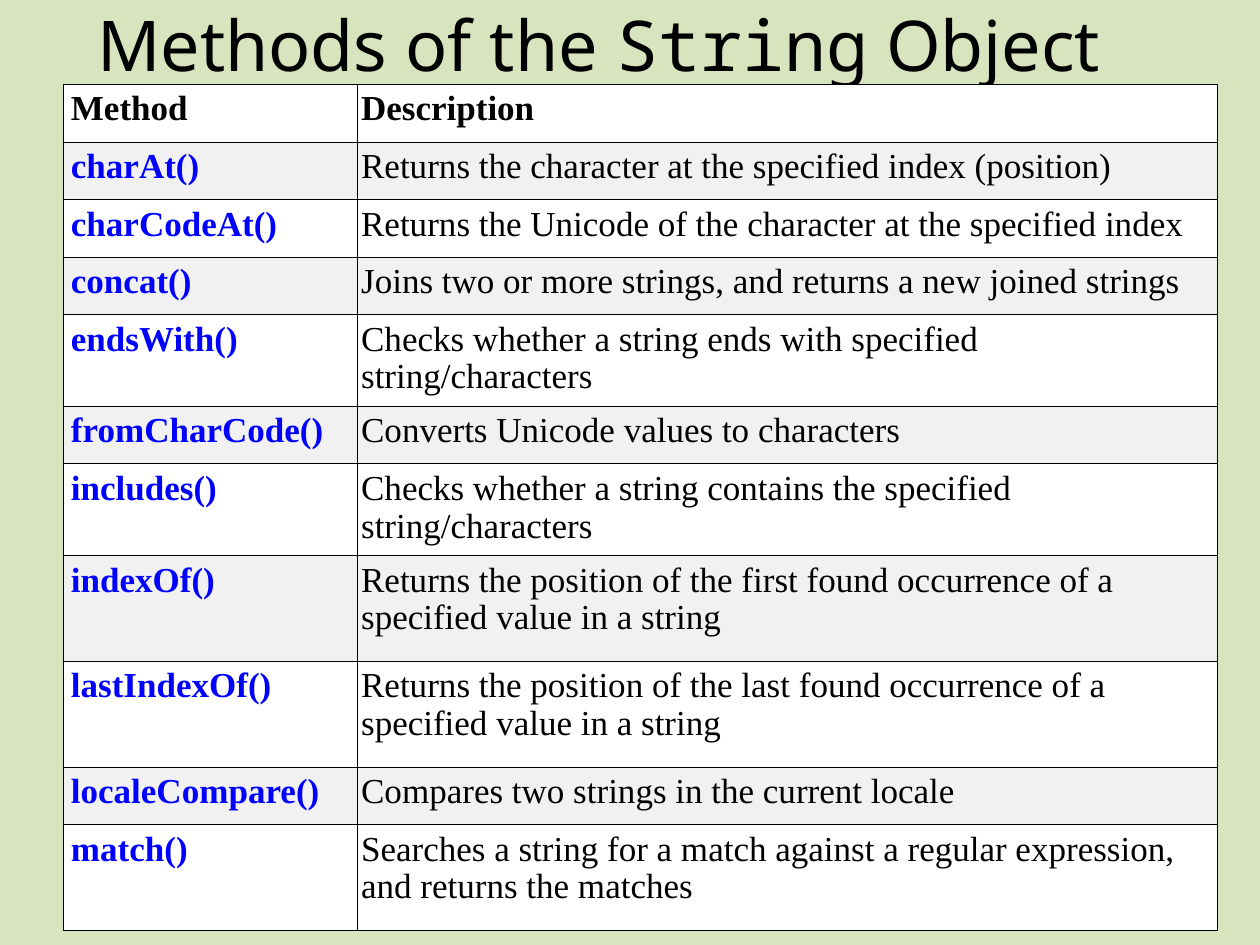
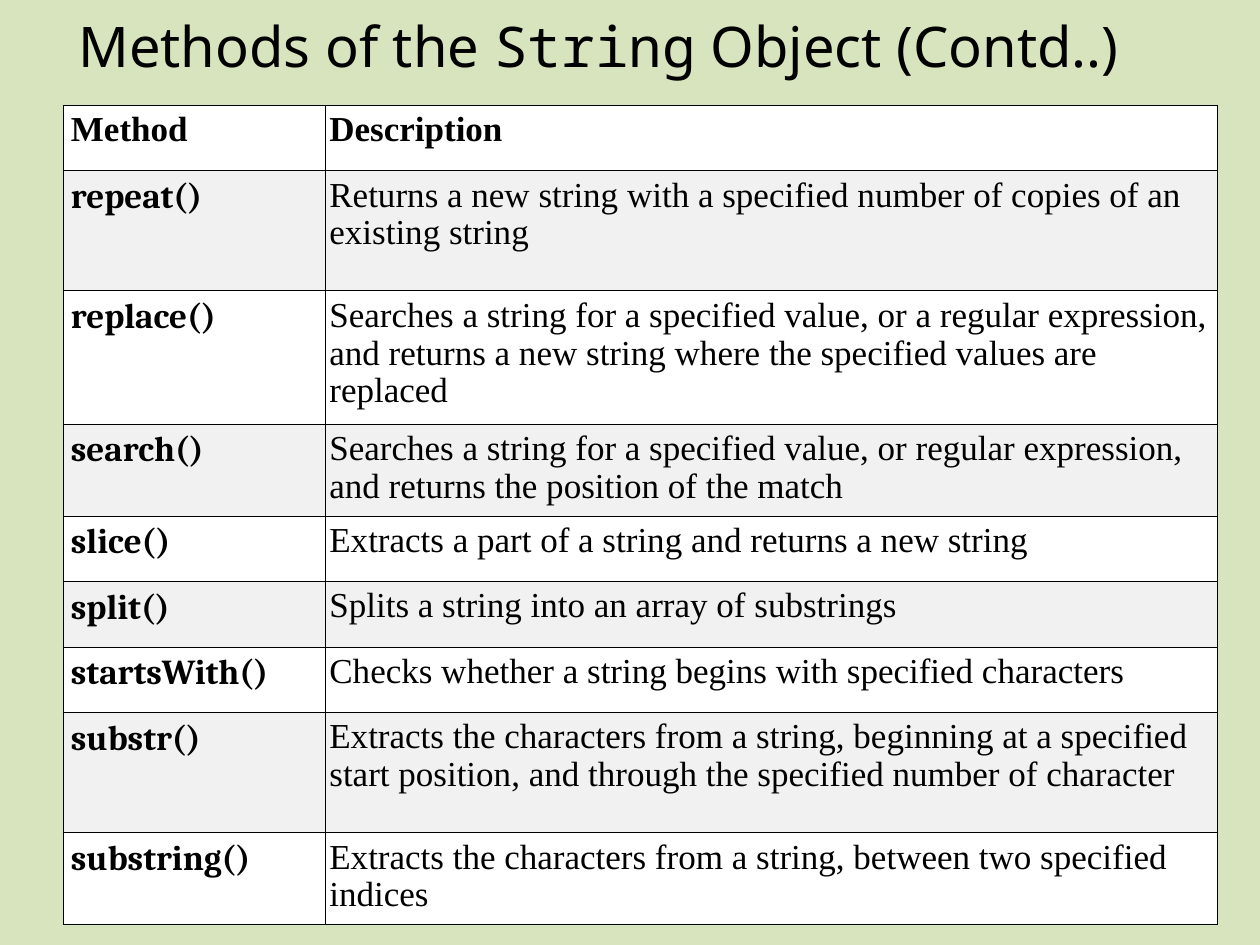
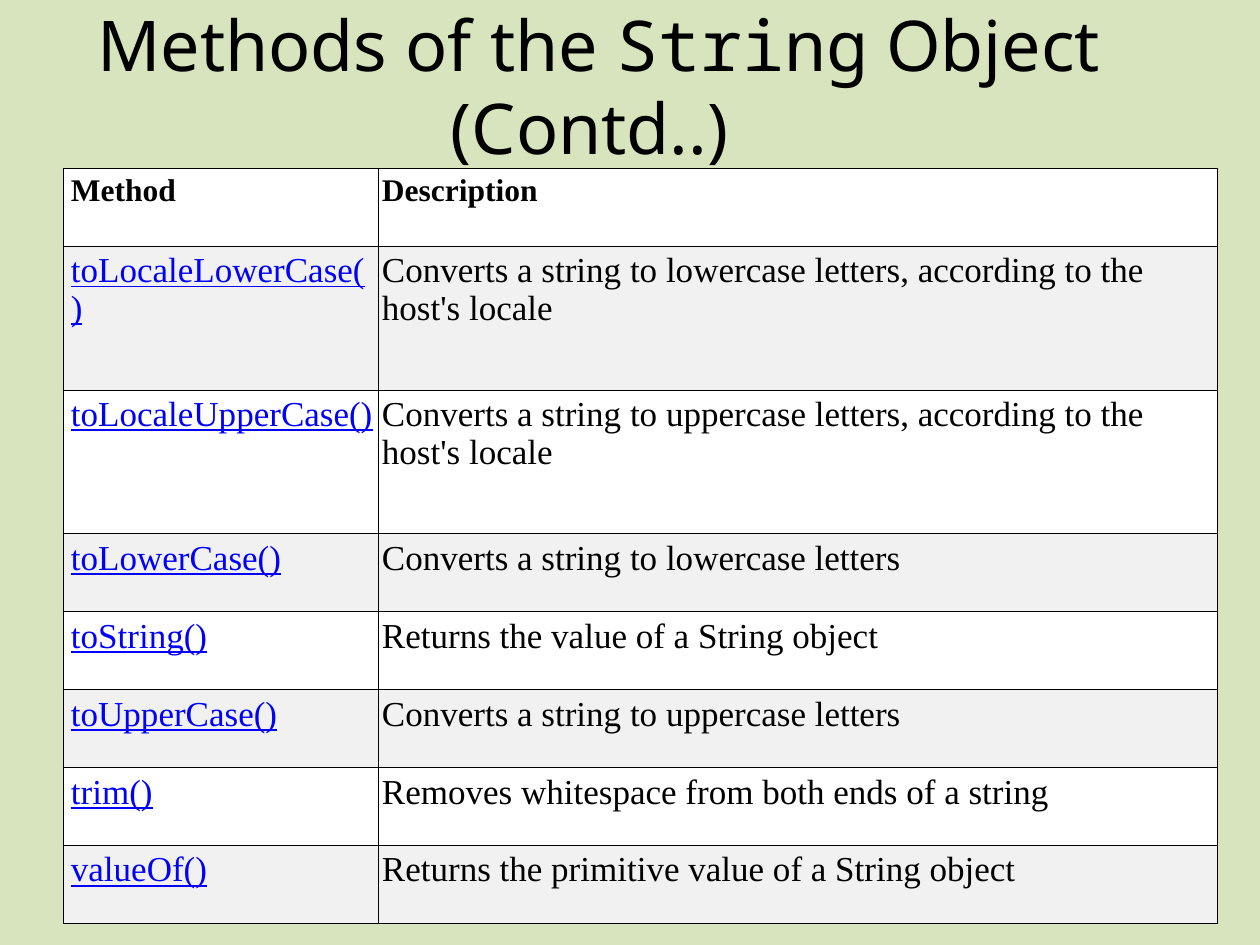
"""Build three slides that list the methods of the String object."""
from dataclasses import dataclass

from lxml import etree
from pptx import Presentation
from pptx import util as u
from pptx.dml.color import RGBColor
from pptx.enum import text
from pptx.oxml.ns import qn


@dataclass(frozen=True)
class Theme:
    background: str = "D7E4BD"
    ink: str = "000000"
    link: str = "0000FF"
    row_fills: tuple = ("FFFFFF", "F1F1F1")
    title_font: str = "Noto Sans"
    code_font: str = "Noto Sans Mono"
    table_font: str = "Times New Roman"
    method_font: str = "Cambria"
    title_size: int = 40
    small_title_size: int = 32
    table_size: int = 20
    small_header_size: int = 18
    table_spacing: float = 0.97
    border_width: float = 0.45


theme = Theme()


def write_text(paragraph, content, font=theme.table_font, size=theme.table_size,
               color=theme.ink, bold=False, underline=False):
    run = paragraph.add_run()
    run.text = content
    run.font.name = font
    run.font.size = u.Pt(size)
    run.font.color.rgb = RGBColor.from_string(color)
    run.font.bold = bold
    run.font.underline = underline


def add_borders(cell):
    properties = cell._tc.get_or_add_tcPr()
    for position, side in enumerate(("lnL", "lnR", "lnT", "lnB")):
        line = etree.Element(qn(f"a:{side}"), w=str(u.Pt(theme.border_width)))
        fill = etree.SubElement(line, qn("a:solidFill"))
        etree.SubElement(fill, qn("a:srgbClr"), val=theme.ink)
        properties.insert(position, line)


pages = [
    {
        "title_end": " Object",
        "title_size": theme.title_size,
        "title_leading": 47.4,
        "top": 1.7,
        "columns": (5.93, 17.35),
        "header_size": theme.table_size,
        "method_format": {"color": theme.link, "bold": True},
        "rows": [
            (1.16, "Method", "Description"),
            (1.16, "charAt()", "Returns the character at the specified index (position)"),
            (1.16, "charCodeAt()", "Returns the Unicode of the character at the specified index"),
            (1.16, "concat()", "Joins two or more strings, and returns a new joined strings"),
            (1.85, "endsWith()", "Checks whether a string ends with specified string/characters"),
            (1.16, "fromCharCode()", "Converts Unicode values to characters"),
            (1.85, "includes()",
             "Checks whether a string contains the specified string/characters"),
            (2.13, "indexOf()",
             "Returns the position of the first found occurrence of a specified value in a string"),
            (2.13, "lastIndexOf()",
             "Returns the position of the last found occurrence of a specified value in a string"),
            (1.16, "localeCompare()", "Compares two strings in the current locale"),
            (2.13, "match()",
             "Searches a string for a match against a regular expression, and returns the matches"),
        ],
    },
    {
        "title_end": " Object (Contd..)",
        "title_size": theme.small_title_size,
        "title_leading": 43.5,
        "top": 2.12,
        "columns": (5.29, 17.99),
        "header_size": theme.table_size,
        "method_format": {"font": theme.method_font, "bold": True},
        "rows": [
            (1.32, "Method", "Description"),
            (2.42, "repeat()",
             "Returns a new string with a specified number of copies of an existing string"),
            (2.69, "replace()",
             "Searches a string for a specified value, or a regular expression, "
             "and returns a new string where the specified values are replaced"),
            (1.85, "search()",
             "Searches a string for a specified value, or regular expression, "
             "and returns the position of the match"),
            (1.32, "slice()", "Extracts a part of a string and returns a new string"),
            (1.32, "split()", "Splits a string into an array of substrings"),
            (1.32, "startsWith()", "Checks whether a string begins with specified characters"),
            (2.42, "substr()",
             "Extracts the characters from a string, beginning at a specified "
             "start position, and through the specified number of character"),
            (1.85, "substring()",
             "Extracts the characters from a string, between two specified indices"),
        ],
    },
    {
        "title_end": " Object (Contd..) ",
        "title_size": theme.title_size,
        "title_leading": 47.4,
        "top": 3.39,
        "columns": (6.35, 16.93),
        "header_size": theme.small_header_size,
        "method_format": {"color": theme.link, "underline": True},
        "rows": [
            (1.57, "Method", "Description"),
            (2.9, "toLocaleLowerCase()",
             "Converts a string to lowercase letters, according to the host's locale"),
            (2.9, "toLocaleUpperCase()",
             "Converts a string to uppercase letters, according to the host's locale"),
            (1.57, "toLowerCase()", "Converts a string to lowercase letters"),
            (1.57, "toString()", "Returns the value of a String object"),
            (1.57, "toUpperCase()", "Converts a string to uppercase letters"),
            (1.57, "trim()", "Removes whitespace from both ends of a string"),
            (1.57, "valueOf()", "Returns the primitive value of a String object"),
        ],
    },
]

presentation = Presentation()
presentation.slide_width, presentation.slide_height = u.Cm(25.4), u.Cm(19.05)
master_fill = presentation.slide_master.background.fill
master_fill.solid()
master_fill.fore_color.rgb = RGBColor.from_string(theme.background)
title_only = presentation.slide_layouts.get_by_name("Title Only")

for page in pages:
    slide = presentation.slides.add_slide(title_only)

    title = slide.shapes.title
    title.left, title.top, title.width, title.height = u.Cm(0.64), 0, u.Cm(22.86), u.Cm(3.18)
    frame = title.text_frame
    frame.word_wrap = True
    frame.auto_size = text.MSO_AUTO_SIZE.NONE
    frame.vertical_anchor = text.MSO_ANCHOR.TOP
    frame.margin_top = u.Cm(0.05)
    paragraph = frame.paragraphs[0]
    paragraph.alignment = text.PP_ALIGN.CENTER
    paragraph.line_spacing = u.Pt(page["title_leading"])
    for content, font in (("Methods of the ", theme.title_font),
                          ("String", theme.code_font),
                          (page["title_end"], theme.title_font)):
        write_text(paragraph, content, font=font, size=page["title_size"])

    rows = page["rows"]
    table = slide.shapes.add_table(
        len(rows), 2, u.Cm(1.27), u.Cm(page["top"]),
        u.Cm(sum(page["columns"])), u.Cm(sum(row[0] for row in rows))).table
    table.first_row = table.horz_banding = False
    for column, width in zip(table.columns, page["columns"]):
        column.width = u.Cm(width)

    header_format = {"size": page["header_size"], "bold": True}
    for row_index, (height, *contents) in enumerate(rows):
        table.rows[row_index].height = u.Cm(height)
        formats = (page["method_format"], {}) if row_index else (header_format, header_format)
        for column_index, content in enumerate(contents):
            cell = table.cell(row_index, column_index)
            cell.fill.solid()
            cell.fill.fore_color.rgb = RGBColor.from_string(theme.row_fills[row_index % 2])
            cell.margin_left = u.Cm((0.16, 0.08)[column_index])
            cell.margin_right = u.Cm(0.08)
            cell.margin_top = cell.margin_bottom = u.Cm(0.13)
            add_borders(cell)
            paragraph = cell.text_frame.paragraphs[0]
            paragraph.line_spacing = theme.table_spacing
            write_text(paragraph, content, **formats[column_index])

presentation.save("out.pptx")
